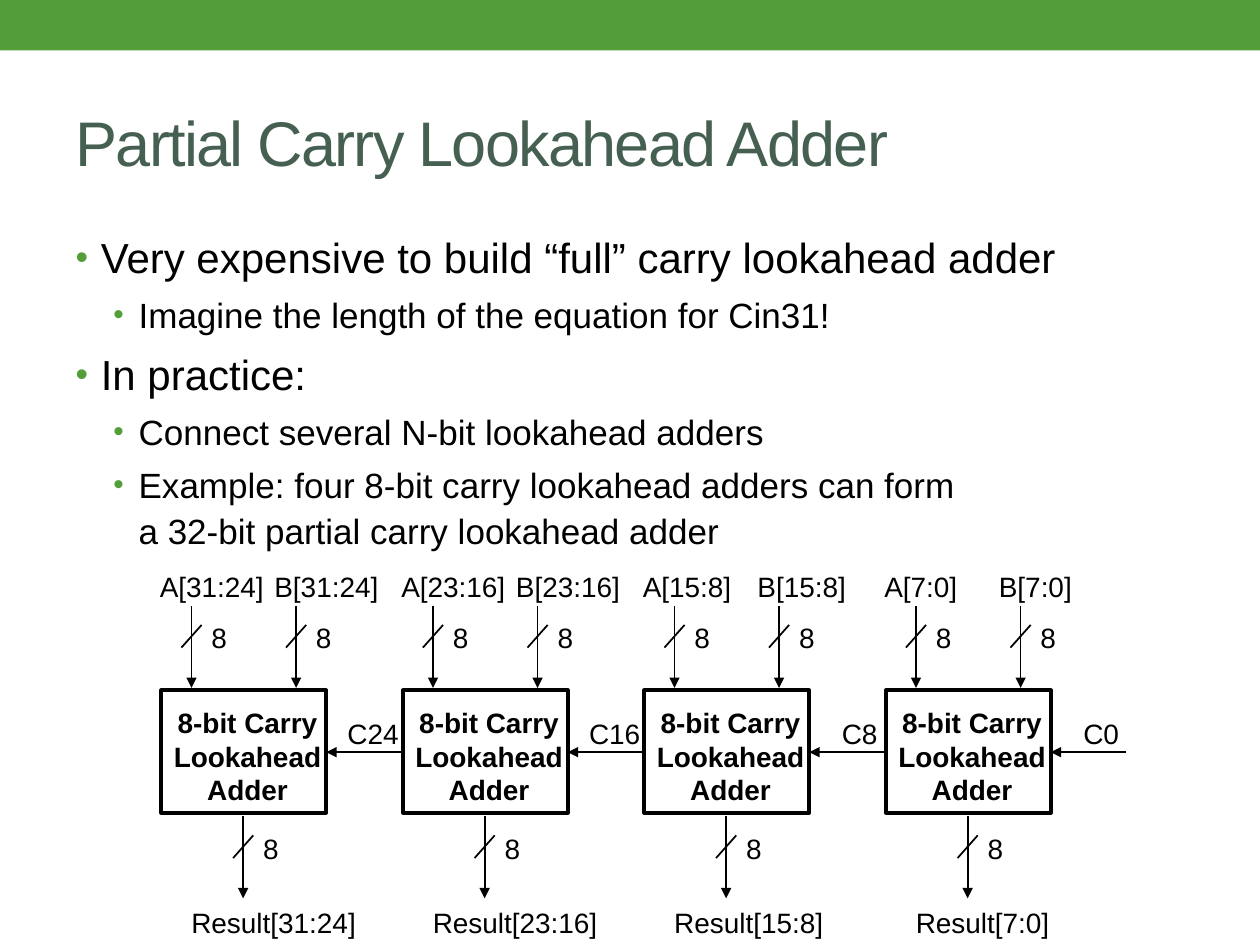
from copy import deepcopy

from lxml import etree
from pptx import Presentation
from pptx.dml.color import RGBColor
from pptx.enum.shapes import MSO_CONNECTOR, MSO_SHAPE
from pptx.enum.text import MSO_ANCHOR, MSO_AUTO_SIZE, PP_ALIGN
from pptx.oxml.ns import qn
from pptx.util import Inches, Pt

GREEN = RGBColor(0x54, 0x9E, 0x39)
SLATE = RGBColor(0x45, 0x5F, 0x51)
BLACK = RGBColor(0, 0, 0)
STRAIGHT = MSO_CONNECTOR.STRAIGHT
RECTANGLE = MSO_SHAPE.RECTANGLE
LEFT, CENTER = PP_ALIGN.LEFT, PP_ALIGN.CENTER
MIDDLE, TOP = MSO_ANCHOR.MIDDLE, MSO_ANCHOR.TOP
NO_FIT = MSO_AUTO_SIZE.NONE
FIT_SHAPE = MSO_AUTO_SIZE.SHAPE_TO_FIT_TEXT
FONT = "Arial"

BULLETS = [
    (0, "Very expensive to build “full” carry lookahead adder"),
    (1, "Imagine the length of the equation for Cin31!"),
    (0, "In practice:"),
    (1, "Connect several N-bit lookahead adders"),
    (1, "Example: four 8-bit carry lookahead adders can form\v"
        "a 32-bit partial carry lookahead adder"),
]
ADDERS = [
    ("[31:24]", "C24", 1.04, 1.52, 0.64),
    ("[23:16]", "C16", 1.04, 1.52, 0.64),
    ("[15:8]", "C8", 0.92, 1.4, 0.5),
    ("[7:0]", "C0", 0.8, 1.28, 0.5),
]
FIRST_LEFT = 1.28
PITCH = 5.75 / 3


def place(shape, x, y, w, h):
    shape.left, shape.top = Inches(x), Inches(y)
    shape.width, shape.height = Inches(w), Inches(h)


def write(p, text, size=16, color=BLACK, bold=False, align=LEFT):
    p.text = text
    p.alignment = align
    for r in p.runs:
        r.font.name = FONT
        r.font.size = Pt(size)
        r.font.bold = bold
        r.font.color.rgb = color
    for br in p._p.findall(qn("a:br")):
        br.insert(0, deepcopy(p.runs[0]._r.rPr))


def add_bullet(p, left, hanging, color):
    pPr = p._p.get_or_add_pPr()
    pPr.set("marL", str(Inches(left)))
    pPr.set("indent", str(-Inches(hanging)))
    clr = etree.SubElement(pPr, qn("a:buClr"))
    etree.SubElement(clr, qn("a:srgbClr"), val=str(color))
    etree.SubElement(pPr, qn("a:buSzPct"), val="85000")
    etree.SubElement(pPr, qn("a:buFont"), typeface=FONT)
    etree.SubElement(pPr, qn("a:buChar"), char="•")


def add_rect(s, x, y, w, h, fill=None, line=None):
    sp = s.shapes.add_shape(RECTANGLE, Inches(x), Inches(y), Inches(w), Inches(h))
    sp.shadow.inherit = False
    if fill is None:
        sp.fill.background()
    else:
        sp.fill.solid()
        sp.fill.fore_color.rgb = fill
    if line is None:
        sp.line.fill.background()
    else:
        sp.line.color.rgb = line
        sp.line.width = Pt(2.25)


def add_label(s, x, y, w, lines, h=0.36, **style):
    tf = s.shapes.add_textbox(Inches(x), Inches(y), Inches(w), Inches(h)).text_frame
    tf.word_wrap = False
    tf.auto_size = FIT_SHAPE
    for i, text in enumerate(lines):
        p = tf.add_paragraph() if i else tf.paragraphs[0]
        write(p, text, **style)


def add_line(s, x1, y1, x2, y2, arrow=False):
    line = s.shapes.add_connector(STRAIGHT, Inches(x1), Inches(y1), Inches(x2), Inches(y2))
    line.line.color.rgb = BLACK
    line.line.width = Pt(1)
    spPr = line._element.spPr
    if arrow:
        etree.SubElement(spPr.get_or_add_ln(), qn("a:tailEnd"), type="triangle")
    etree.SubElement(spPr, qn("a:effectLst"))


def add_bus(s, x, y):
    add_line(s, x, y, x, y + 0.65, arrow=True)
    add_line(s, x - 0.08, y + 0.33, x + 0.08, y + 0.15)
    add_label(s, x + 0.06, y + 0.07, 0.33, ["8"])


def add_adder(s, x, bits, carry, input_w, result_w, carry_w):
    add_rect(s, x, 5.48, 1.31, 0.97, line=BLACK)
    add_label(s, x, 5.55, 1.37, ["8-bit Carry", "Lookahead", "Adder"],
              h=0.9, bold=True, align=CENTER)
    add_line(s, x + 1.91, 5.97, x + 1.31, 5.97, arrow=True)
    carry_x = x + (1.38 if len(carry) > 2 else 1.47)
    add_label(s, carry_x, 5.64, carry_w, [carry])
    for dx, y in ((0.24, 4.81), (1.07, 4.81), (0.65, 6.48)):
        add_bus(s, x + dx, y)
    add_label(s, x - 0.11, 4.47, input_w, ["A" + bits])
    add_label(s, x + 0.8, 4.47, input_w, ["B" + bits])
    add_label(s, x + 0.14, 7.14, result_w, ["Result" + bits])


def fill_title(title):
    place(title, 0.5, 0.58, 9, 1.08)
    tf = title.text_frame
    tf.auto_size = NO_FIT
    tf.vertical_anchor = MIDDLE
    p = tf.paragraphs[0]
    write(p, "Partial Carry Lookahead Adder", size=36, color=SLATE)
    p.runs[0]._r.get_or_add_rPr().set("spc", "-100")


def fill_body(body):
    place(body, 0.5, 1.75, 9, 5.33)
    tf = body.text_frame
    tf.auto_size = NO_FIT
    tf.vertical_anchor = TOP
    for i, (level, text) in enumerate(BULLETS):
        p = tf.add_paragraph() if i else tf.paragraphs[0]
        size = 20 if level else 24
        write(p, text, size=size)
        p.level = level
        p.line_spacing = 1.1
        p.space_before = Pt(0.2 * size)
        add_bullet(p, 0.5 if level else 0.2, 0.2, GREEN)


def main():
    prs = Presentation()
    prs.slide_width, prs.slide_height = Inches(10), Inches(7.5)
    s = prs.slides.add_slide(prs.slide_layouts[1])
    add_rect(s, 0, 0, 10, 0.4, fill=GREEN)
    fill_title(s.shapes.title)
    fill_body(s.placeholders[1])
    for i, adder in enumerate(ADDERS):
        add_adder(s, FIRST_LEFT + i * PITCH, *adder)
    prs.save("out.pptx")


main()
